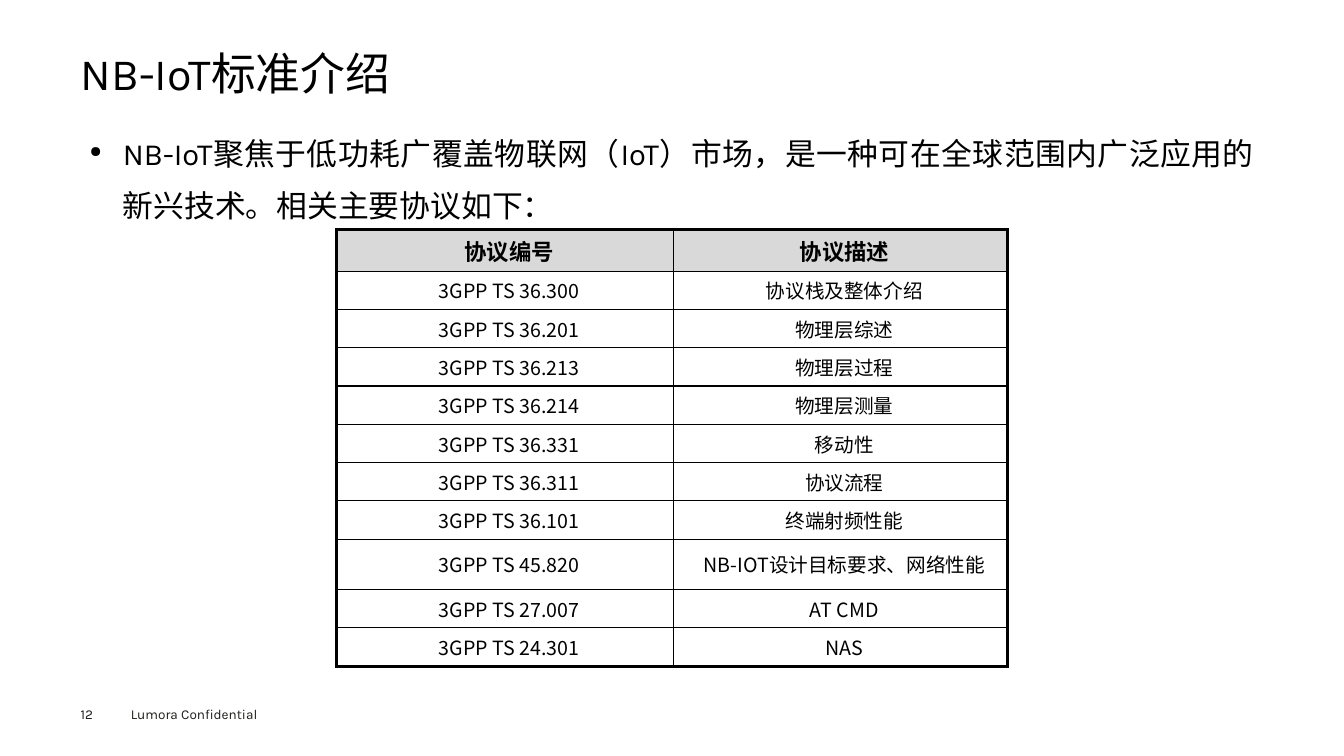
from dataclasses import dataclass

from lxml.etree import SubElement
from pptx import Presentation
from pptx.dml.color import RGBColor as Rgb
from pptx.enum.text import MSO_ANCHOR as Anchor, MSO_AUTO_SIZE as AutoSize, PP_ALIGN as Align
from pptx.oxml.ns import qn
from pptx.util import Inches, Pt


@dataclass(frozen=True)
class Theme:
    latin: str = "Karla"
    chinese: str = "Noto Sans CJK SC"
    ink: str = "000000"
    footer_ink: str = "1D1D1B"
    header_fill: str = "D9D9D9"
    row_fill: str = "FFFFFF"
    title_size: float = 32
    body_size: float = 22
    header_size: float = 16
    row_size: float = 14
    footer_size: float = 9.7
    outer_line: float = 2.25
    inner_line: float = 1


@dataclass(frozen=True)
class TextBlock:
    text: str
    left: float
    top: float
    width: float
    height: float
    size: float
    color: str = "000000"
    inset_x: float = 0
    inset_y: float = 0
    anchor: Anchor = Anchor.TOP
    line_spacing: float = 1
    grows: bool = False


@dataclass(frozen=True)
class Protocol:
    number: str
    description: str
    height: float = 0.38


THEME = Theme()

TITLE = TextBlock("NB-IoT标准介绍", 0.8, 0.49, 11.73, 0.53, THEME.title_size,
                  anchor=Anchor.MIDDLE, line_spacing=0.9)
INTRO = TextBlock(
    "NB-IoT聚焦于低功耗广覆盖物联网（IoT）市场，是一种可在全球范围内广泛应用的新兴技术。相关主要协议如下：",
    0.8, 1.15, 11.73, 5.34, THEME.body_size,
    inset_x=0.09, inset_y=0.04, line_spacing=1.4)
FOOTER = TextBlock("Lumora Confidential", 1.2, 6.95, 1.6, 0.27, THEME.footer_size,
                   THEME.footer_ink, inset_x=0.1, inset_y=0.05, grows=True)
PAGE_NUMBER = TextBlock("12", 0.8, 7, 0.55, 0.16, THEME.footer_size,
                        THEME.footer_ink, grows=True)

PROTOCOLS = [
    Protocol("协议编号", "协议描述", 0.41),
    Protocol("3GPP TS 36.300", "协议栈及整体介绍"),
    Protocol("3GPP TS 36.201", "物理层综述"),
    Protocol("3GPP TS 36.213", "物理层过程"),
    Protocol("3GPP TS 36.214", "物理层测量"),
    Protocol("3GPP TS 36.331", "移动性"),
    Protocol("3GPP TS 36.311", "协议流程"),
    Protocol("3GPP TS 36.101", "终端射频性能"),
    Protocol("3GPP TS 45.820", "NB-IOT设计目标要求、网络性能", 0.5),
    Protocol("3GPP TS 27.007", "AT CMD"),
    Protocol("3GPP TS 24.301", "NAS"),
]
TABLE_LEFT, TABLE_TOP = 3.34, 2.28
COLUMN_WIDTHS = (3.34, 3.31)


def add_span(para, text: str, size: float, color: str, latin: str, bold: bool = False) -> None:
    span = para.add_run()
    span.text = text
    span.font.size = Pt(size)
    span.font.bold = bold
    span.font.name = latin
    span.font.color.rgb = Rgb.from_string(color)
    SubElement(span.font._element, qn("a:ea"), typeface=THEME.chinese)


def add_text(page, block: TextBlock):
    """Draw a text block and return its paragraph."""
    box = page.shapes.add_textbox(Inches(block.left), Inches(block.top),
                                  Inches(block.width), Inches(block.height))
    frame = box.text_frame
    frame.word_wrap = True
    frame.auto_size = AutoSize.SHAPE_TO_FIT_TEXT if block.grows else AutoSize.NONE
    frame.vertical_anchor = block.anchor
    frame.margin_left = frame.margin_right = Inches(block.inset_x)
    frame.margin_top = frame.margin_bottom = Inches(block.inset_y)
    para = frame.paragraphs[0]
    para.line_spacing = block.line_spacing
    add_span(para, block.text, block.size, block.color, THEME.latin)
    return para


def add_bullet(para) -> None:
    para.alignment = Align.JUSTIFY
    para.space_before = Pt(7.9)
    properties = para._p.get_or_add_pPr()
    properties.set("marL", str(Inches(0.33)))
    properties.set("indent", str(Inches(-0.33)))
    SubElement(properties, qn("a:buSzPct"), val="50000")
    SubElement(properties, qn("a:buChar"), char="●")


def add_border(cell, side: str, width: float) -> None:
    line = SubElement(cell._tc.get_or_add_tcPr(), qn(f"a:ln{side}"), w=str(Pt(width)))
    SubElement(SubElement(line, qn("a:solidFill")), qn("a:srgbClr"), val=THEME.ink)


def format_cell(cell, text: str, is_header: bool, outer_sides: str) -> None:
    for side in "LRTB":
        add_border(cell, side, THEME.outer_line if side in outer_sides else THEME.inner_line)
    cell.fill.solid()
    cell.fill.fore_color.rgb = Rgb.from_string(THEME.header_fill if is_header else THEME.row_fill)
    cell.vertical_anchor = Anchor.MIDDLE
    cell.margin_left = Inches(0.08)
    cell.margin_right = cell.margin_top = cell.margin_bottom = 0
    para = cell.text_frame.paragraphs[0]
    para.alignment = Align.CENTER
    size = THEME.header_size if is_header else THEME.row_size
    add_span(para, text, size, THEME.ink, THEME.chinese, is_header)


def add_protocol_table(page) -> None:
    height = sum(protocol.height for protocol in PROTOCOLS)
    table = page.shapes.add_table(
        len(PROTOCOLS), len(COLUMN_WIDTHS), Inches(TABLE_LEFT), Inches(TABLE_TOP),
        Inches(sum(COLUMN_WIDTHS)), Inches(height)).table
    table.horz_banding = False
    for column, width in zip(table.columns, COLUMN_WIDTHS):
        column.width = Inches(width)
    last = len(PROTOCOLS) - 1
    for row, protocol in enumerate(PROTOCOLS):
        table.rows[row].height = Inches(protocol.height)
        edges = ("T" if row == 0 else "") + ("B" if row == last else "")
        format_cell(table.cell(row, 0), protocol.number, row == 0, edges + "L")
        format_cell(table.cell(row, 1), protocol.description, row == 0, edges + "R")


def main() -> None:
    deck = Presentation()
    deck.slide_width, deck.slide_height = Inches(13.33), Inches(7.5)
    page = deck.slides.add_slide(deck.slide_layouts[6])
    for block in (FOOTER, PAGE_NUMBER, TITLE):
        add_text(page, block)
    add_bullet(add_text(page, INTRO))
    add_protocol_table(page)
    deck.save("out.pptx")


if __name__ == "__main__":
    main()
